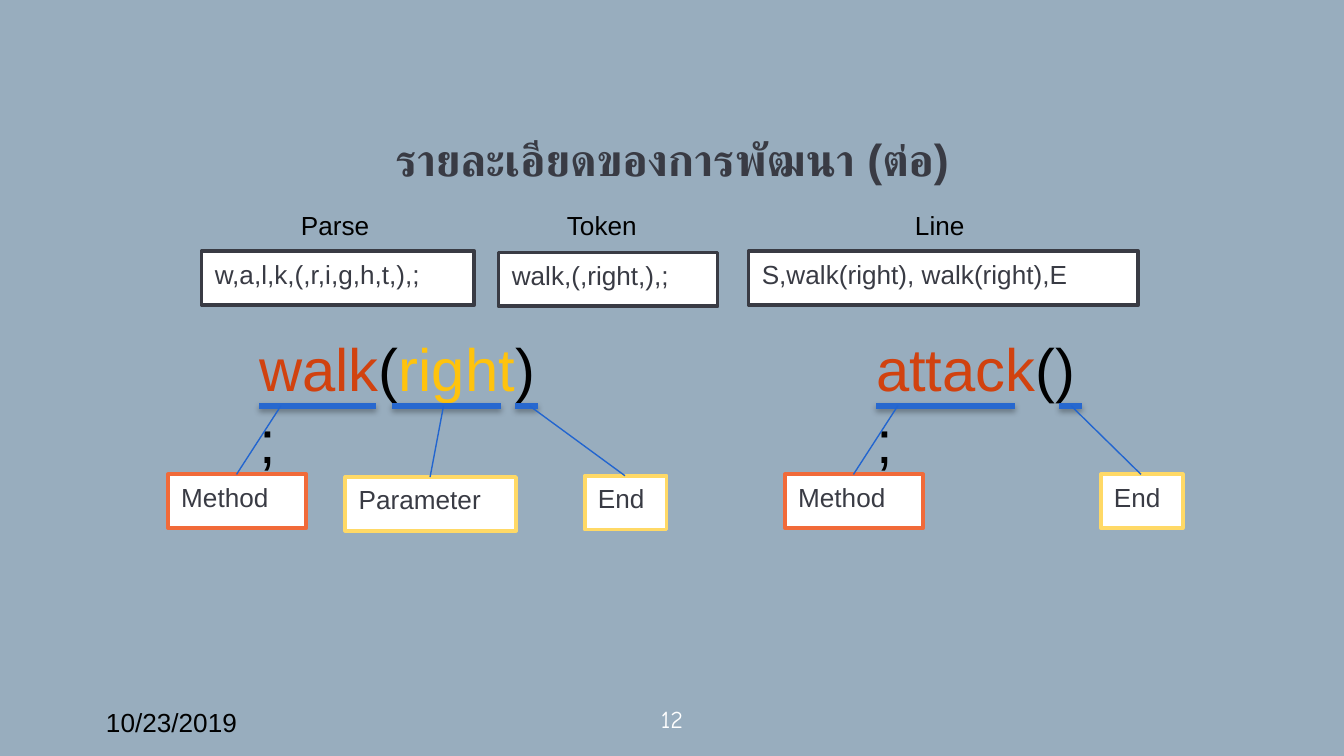
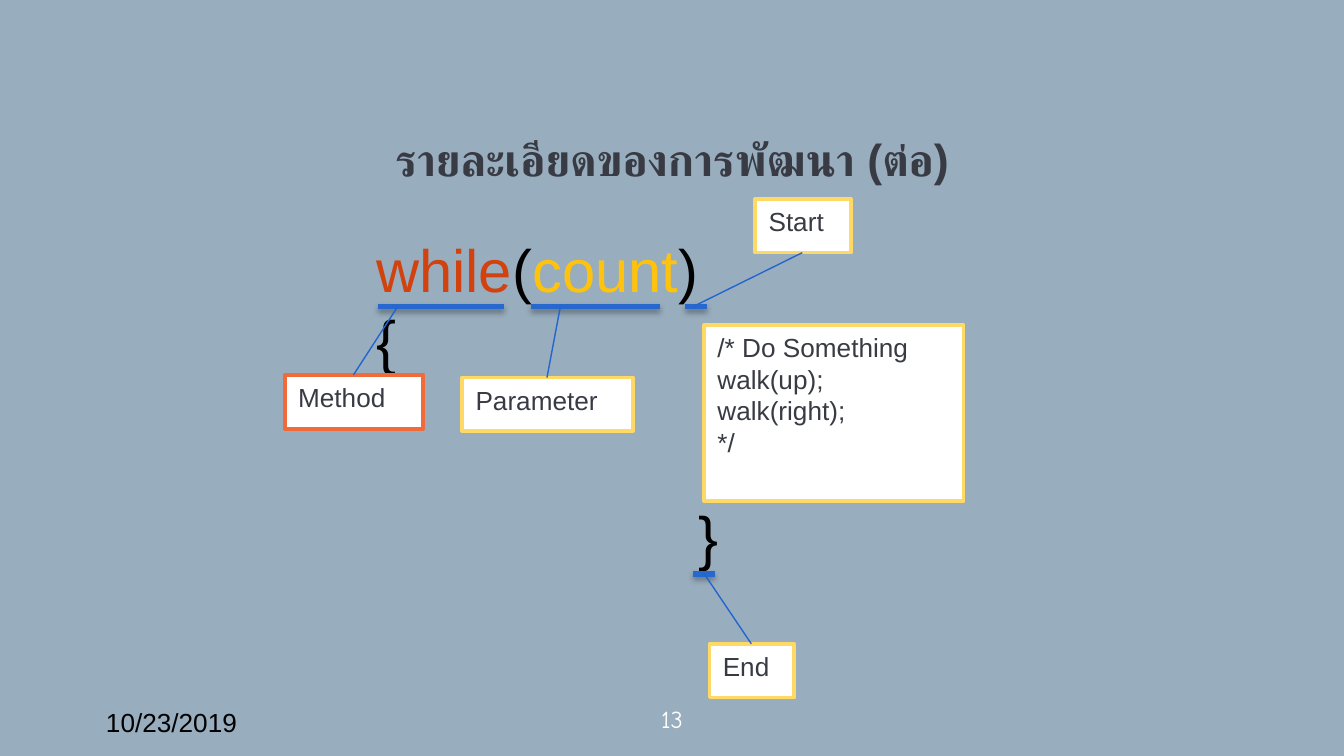
from lxml import etree
from pptx import Presentation
from pptx.dml.color import RGBColor
from pptx.enum.shapes import MSO_CONNECTOR as CONN, MSO_SHAPE as SHAPE
from pptx.enum.text import MSO_ANCHOR as ANCHOR, MSO_AUTO_SIZE as FIT, PP_ALIGN as ALIGN
from pptx.oxml.ns import qn
from pptx.util import Emu, Pt

PX = 9144
BACK = RGBColor(0x98, 0xAD, 0xBE)
INK = RGBColor(0x39, 0x3B, 0x44)
BLACK = RGBColor(0, 0, 0)
WHITE = RGBColor(0xFF, 0xFF, 0xFF)
RED = RGBColor(0xD1, 0x42, 0x0F)
GOLD = RGBColor(0xFF, 0xC3, 0x0D)
ORANGE = RGBColor(0xF1, 0x6A, 0x39)
YELLOW = RGBColor(0xFF, 0xD9, 0x66)
BAR = RGBColor(0x27, 0x68, 0xCF)
POINTER = RGBColor(0x22, 0x65, 0xCF)
TITLE = "รายละเอียดของการพัฒนา (ต่อ)"
DATE = "10/23/2019"


def px(*values):
    return [Emu(v * PX) for v in values]


def style(font, size, color, name="Arial"):
    font.size = Pt(size)
    font.name = name
    font.color.rgb = color


def no_margins(tf):
    tf.margin_left = tf.margin_right = tf.margin_top = tf.margin_bottom = 0


def add_text(s, x, y, w, h, parts, size):
    tf = s.shapes.add_textbox(*px(x, y, w, h)).text_frame
    tf.word_wrap = True
    for text, color in parts:
        r = tf.paragraphs[0].add_run()
        r.text = text
        style(r.font, size, color)
    return tf


def add_label(s, x, y, w, text):
    add_text(s, x, y, w, 40, [(text, BLACK)], 14)


def add_code(s, x, y, w, *parts):
    add_text(s, x, y, w, 64, parts, 32)


def add_box(s, x, y, w, text, color, h=40):
    sp = s.shapes.add_shape(SHAPE.RECTANGLE, *px(x, y, w, h))
    sp.shadow.inherit = False
    sp.fill.solid()
    sp.fill.fore_color.rgb = WHITE
    sp.line.color.rgb = color
    sp.line.width = Pt(2)
    tf = sp.text_frame
    tf.word_wrap = True
    tf.vertical_anchor = ANCHOR.TOP
    tf.text = text
    for p in tf.paragraphs:
        p.alignment = ALIGN.LEFT
        for r in p.runs:
            style(r.font, 14, INK)


def add_line(s, x1, y1, x2, y2, color, width):
    line = s.shapes.add_connector(CONN.STRAIGHT, *px(x1, y1, x2, y2))
    line.line.color.rgb = color
    line.line.width = Pt(width)
    return etree.SubElement(line._element.spPr, qn("a:effectLst"))


def add_underline(s, x1, x2, y):
    effects = add_line(s, x1, y, x2, y, BAR, 3)
    shadow = etree.SubElement(effects, qn("a:outerShdw"), blurRad=str(Pt(3.1)),
                              dist=str(Pt(1.8)), dir="5400000", rotWithShape="0")
    color = etree.SubElement(shadow, qn("a:srgbClr"), val=str(BLACK))
    etree.SubElement(color, qn("a:alpha"), val="35000")


def add_callout(s, text, color, box, underline, tip):
    x, y, w = box
    line_y = underline[2]
    add_box(s, x, y, w, text, color)
    add_underline(s, *underline)
    edge = y if y > line_y else y + 40
    add_line(s, x + w // 2, edge, tip, line_y, POINTER, 0.75)


def add_slide(prs, number):
    s = prs.slides.add_slide(prs.slide_layouts.get_by_name("Title Only"))
    title = s.shapes.title
    title.left, title.top, title.width, title.height = px(178, 89, 644, 49)
    tf = title.text_frame
    tf.text = TITLE
    tf.auto_size = FIT.NONE
    tf.vertical_anchor = ANCHOR.BOTTOM
    no_margins(tf)
    p = tf.paragraphs[0]
    p.alignment = ALIGN.CENTER
    r = p.runs[0]
    style(r.font, 24, INK)
    r.font.bold = True
    etree.SubElement(r.font._element, qn("a:cs"), typeface="Arial")

    tf = add_text(s, 470, 508, 60, 54, [(str(number), WHITE)], 13)
    tf.vertical_anchor = ANCHOR.MIDDLE
    no_margins(tf)
    p = tf.paragraphs[0]
    p.alignment = ALIGN.CENTER
    p.runs[0].font.name = "Comic Neue"
    add_text(s, 69, 521, 225, 30, [(DATE, BLACK)], 14)
    return s


def build_tokens(prs):
    s = add_slide(prs, 12)
    add_code(s, 642, 242, 171, ("attack", RED), ("();", BLACK))
    add_callout(s, "Method", ORANGE, (584, 353, 103), (652, 755, 302), 668)
    add_callout(s, "End", YELLOW, (819, 353, 61), (788, 805, 302), 797)
    add_code(s, 183, 242, 229, ("walk", RED), ("(", BLACK), ("right", GOLD), (");", BLACK))
    add_callout(s, "Method", ORANGE, (125, 353, 103), (193, 280, 302), 209)
    add_callout(s, "Parameter", YELLOW, (257, 355, 127), (292, 373, 302), 330)
    add_callout(s, "End", YELLOW, (435, 354, 61), (383, 400, 302), 394)
    add_box(s, 150, 187, 203, "w,a,l,k,(,r,i,g,h,t,),;", INK)
    add_box(s, 371, 188, 163, "walk,(,right,),;", INK)
    add_box(s, 557, 187, 290, "S,walk(right), walk(right),E", INK)
    add_label(s, 214, 151, 75, "Parse")
    add_label(s, 412, 151, 80, "Token")
    add_label(s, 671, 151, 63, "Line")


def build_loop(prs):
    s = add_slide(prs, 13)
    add_code(s, 270, 168, 265, ("while", RED), ("(", BLACK), ("count", GOLD), ("){", BLACK))
    add_callout(s, "Method", ORANGE, (212, 279, 103), (281, 375, 228), 296)
    add_callout(s, "Parameter", YELLOW, (344, 281, 127), (395, 491, 228), 417)
    add_callout(s, "Start", YELLOW, (562, 148, 71), (510, 526, 228), 516)
    add_code(s, 510, 367, 34, ("}", BLACK))
    add_callout(s, "End", YELLOW, (528, 479, 63), (516, 532, 427), 524)
    add_box(s, 524, 242, 193, "/* Do Something\nwalk(up);\nwalk(right);\n*/", YELLOW, 131)


def main():
    prs = Presentation()
    prs.slide_width = Emu(1000 * PX)
    prs.slide_height = Emu(prs.slide_width * 9 // 16)
    fill = prs.slide_master.background.fill
    fill.solid()
    fill.fore_color.rgb = BACK
    build_tokens(prs)
    build_loop(prs)
    prs.save("out.pptx")


if __name__ == "__main__":
    main()
